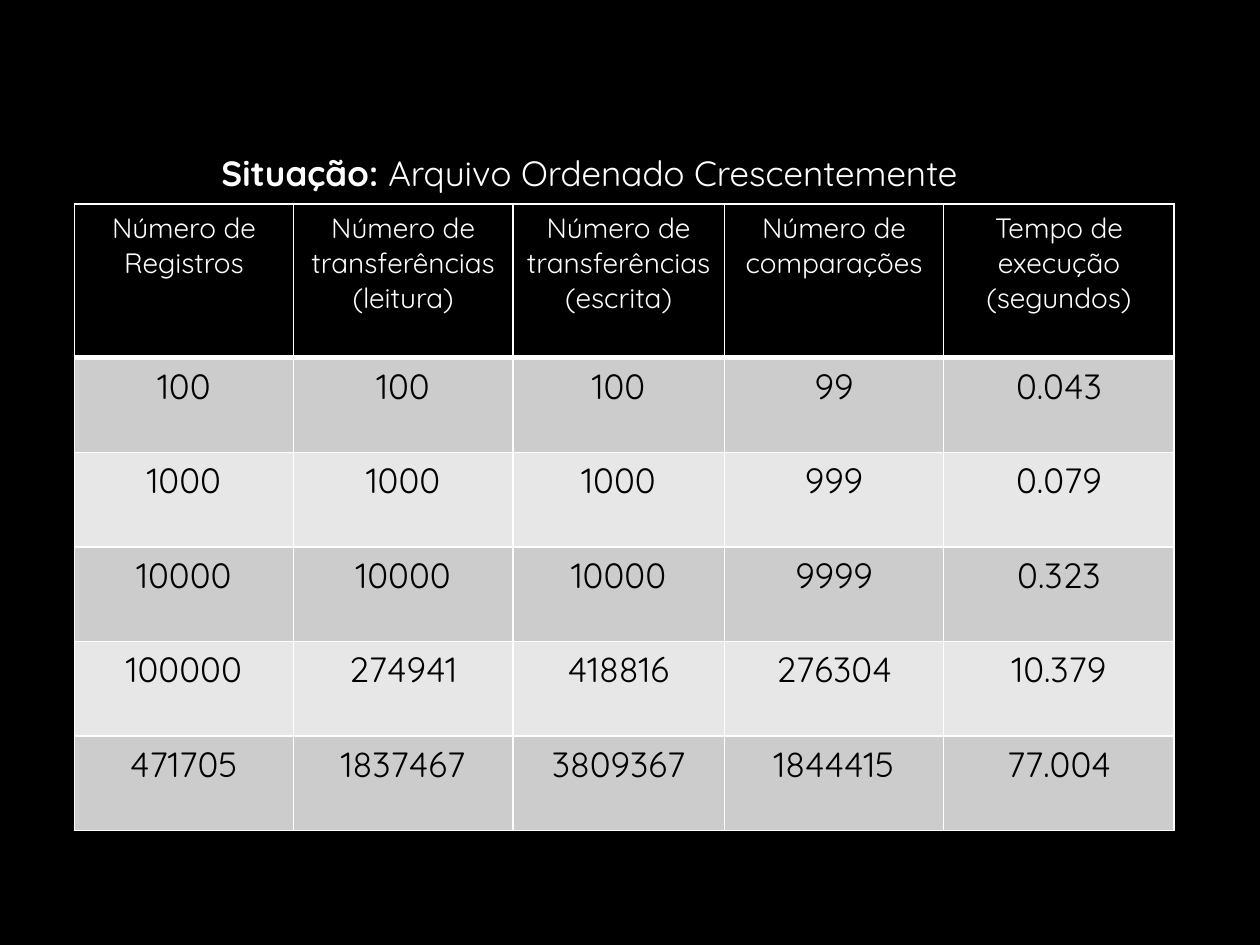
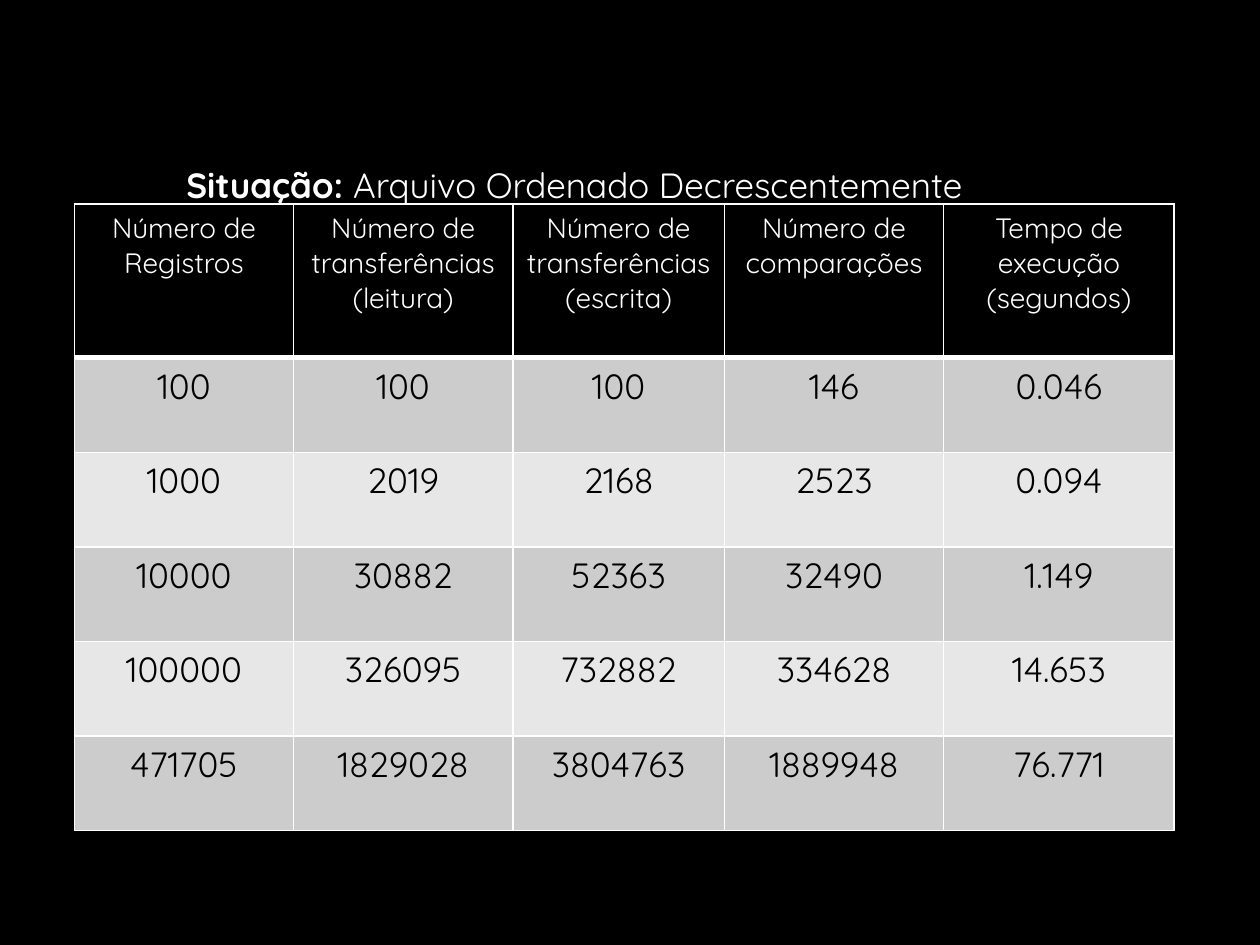
from lxml import etree
from pptx import Presentation
from pptx import util as u
from pptx.dml.color import RGBColor
from pptx.enum import text
from pptx.oxml import ns

FONT = "Quicksand"
BLACK, WHITE = "000000", "FFFFFF"
BANDS = ("CCCCCC", "E7E7E7")
COLUMN_WIDTHS = (1.74, 1.74, 1.68, 1.74, 1.83)
HEADER_HEIGHT, ROW_HEIGHT = 1.22, 0.75
TABLE_BOX = (0.59, 1.62, 8.74, 4.96)
HEADERS = (
    "Número de Registros",
    "Número de transferências\n(leitura)",
    "Número de transferências\n(escrita)",
    "Número de comparações",
    "Tempo de execução\n(segundos)",
)
SITUATIONS = (
    ("Arquivo Ordenado Crescentemente", (1.66, 0.99, 6.73, 0.91), (
        ("100", "100", "100", "99", "0.043"),
        ("1000", "1000", "1000", "999", "0.079"),
        ("10000", "10000", "10000", "9999", "0.323"),
        ("100000", "274941", "418816", "276304", "10.379"),
        ("471705", "1837467", "3809367", "1844415", "77.004"),
    )),
    ("Arquivo Ordenado Decrescentemente", (1.38, 1.08, 6.85, 0.54), (
        ("100", "100", "100", "146", "0.046"),
        ("1000", "2019", "2168", "2523", "0.094"),
        ("10000", "30882", "52363", "32490", "1.149"),
        ("100000", "326095", "732882", "334628", "14.653"),
        ("471705", "1829028", "3804763", "1889948", "76.771"),
    )),
)


def paint(target, color):
    """Give a fill a solid colour."""
    target.solid()
    target.fore_color.rgb = RGBColor.from_string(color)


def style_run(span, size, color, bold=False):
    """Set the font of one run."""
    span.font.name = FONT
    span.font.size = u.Pt(size)
    span.font.bold = bold
    paint(span.font.fill, color)


def add_borders(cell, bottom):
    """Draw white lines of 1 pt around a cell, with a bottom width of its own."""
    properties = cell._tc.get_or_add_tcPr()
    widths = {"lnL": 1, "lnR": 1, "lnT": 1, "lnB": bottom}
    for place, (side, width) in enumerate(widths.items()):
        line = etree.Element(ns.qn("a:" + side), w=str(u.Pt(width)))
        fill = etree.SubElement(line, ns.qn("a:solidFill"))
        etree.SubElement(fill, ns.qn("a:srgbClr"), val=WHITE)
        properties.insert(place, line)


def fill_cell(cell, words, size, color, background, bottom=1):
    """Write and style one centred table cell."""
    cell.margin_left = cell.margin_right = u.Inches(0.07)
    cell.margin_top = cell.margin_bottom = u.Inches(0.05)
    paint(cell.fill, background)
    add_borders(cell, bottom)
    cell.text_frame.text = words
    for para in cell.text_frame.paragraphs:
        para.alignment = text.PP_ALIGN.CENTER
        for span in para.runs:
            style_run(span, size, color)


def add_results(page, box, rows):
    """Place the table of measurements."""
    table = page.shapes.add_table(len(rows) + 1, len(HEADERS), *map(u.Inches, box)).table
    for column, width in zip(table.columns, COLUMN_WIDTHS):
        column.width = u.Inches(width)
    for index, row in enumerate(table.rows):
        row.height = u.Inches(ROW_HEIGHT if index else HEADER_HEIGHT)
    for cell, words in zip(table.rows[0].cells, HEADERS):
        fill_cell(cell, words, 16, WHITE, BLACK, bottom=3)
    for index, values in enumerate(rows):
        for cell, value in zip(table.rows[index + 1].cells, values):
            fill_cell(cell, value, 20, BLACK, BANDS[index % 2])


def add_situation(page, box, situation):
    """Place the caption above the table."""
    frame = page.shapes.add_textbox(*map(u.Inches, box)).text_frame
    frame.word_wrap = True
    para = frame.paragraphs[0]
    para.line_spacing = 1.5
    for words, bold in (("Situação: ", True), (situation, False)):
        span = para.add_run()
        span.text = words
        style_run(span, 20, WHITE, bold)


def add_page(deck, situation, caption_box, rows):
    """Add one black slide with its table and caption."""
    page = deck.slides.add_slide(deck.slide_layouts[6])
    paint(page.background.fill, BLACK)
    add_results(page, TABLE_BOX, rows)
    add_situation(page, caption_box, situation)


def main():
    """Build and save the deck."""
    deck = Presentation()
    deck.slide_width, deck.slide_height = u.Inches(10), u.Inches(7.5)
    for situation in SITUATIONS:
        add_page(deck, *situation)
    deck.save("out.pptx")


main()
